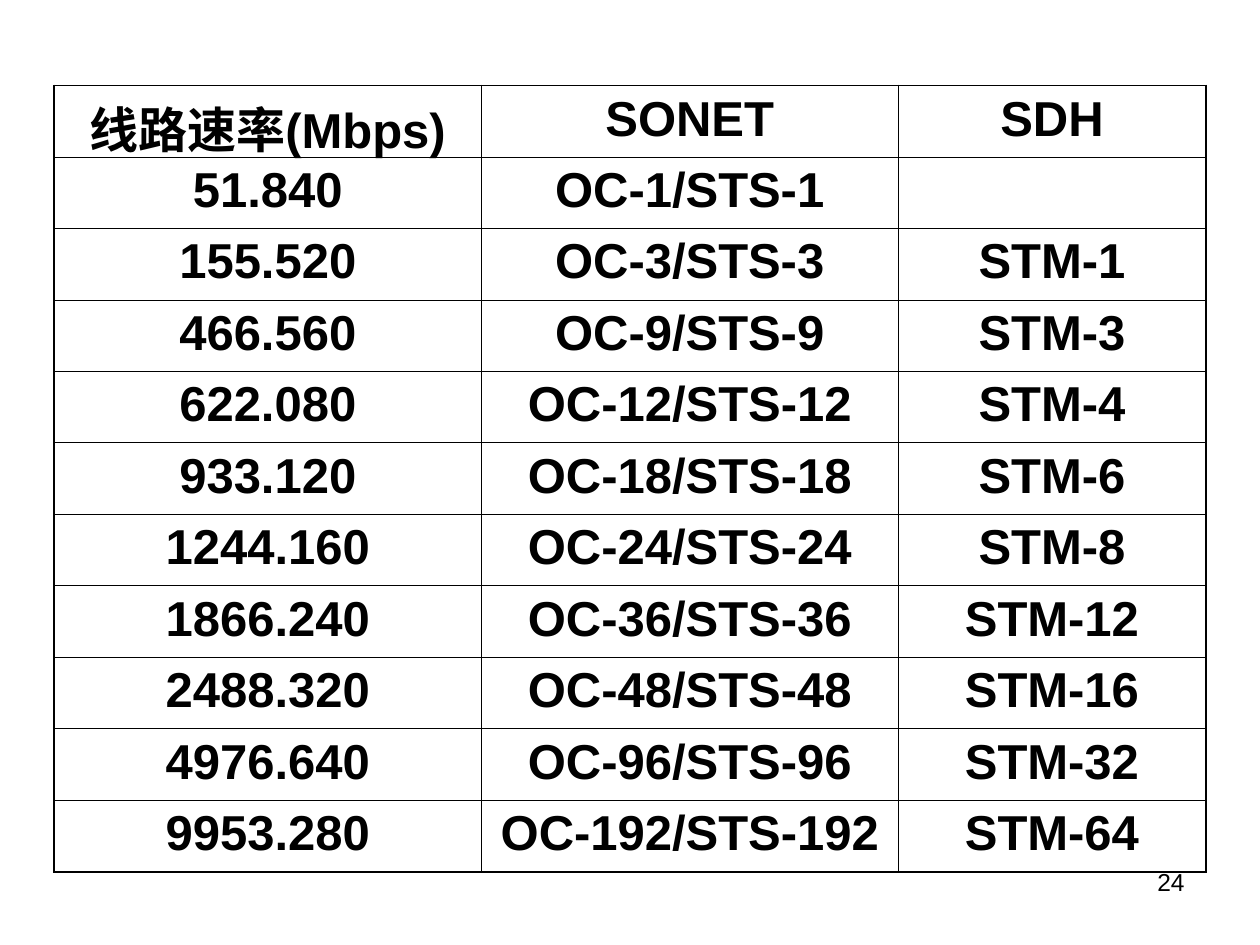
import pptx
import pptx.dml.color
import pptx.enum.text
import pptx.oxml.ns
import pptx.util
from lxml import etree

COLORS = {"ink": "000000", "paper": "FFFFFF"}
ALIGN = pptx.enum.text.PP_ALIGN

RATES = [
    ("线路速率(Mbps)", "SONET", "SDH"),
    ("51.840", "OC-1/STS-1", ""),
    ("155.520", "OC-3/STS-3", "STM-1"),
    ("466.560", "OC-9/STS-9", "STM-3"),
    ("622.080", "OC-12/STS-12", "STM-4"),
    ("933.120", "OC-18/STS-18", "STM-6"),
    ("1244.160", "OC-24/STS-24", "STM-8"),
    ("1866.240", "OC-36/STS-36", "STM-12"),
    ("2488.320", "OC-48/STS-48", "STM-16"),
    ("4976.640", "OC-96/STS-96", "STM-32"),
    ("9953.280", "OC-192/STS-192", "STM-64"),
]


class SlideBuilder:
    font_name = "Arial"
    outer_line = 1.08
    inner_line = 0.45

    def __init__(self, slide):
        self.slide = slide
        background = slide.background.fill
        background.solid()
        background.fore_color.rgb = self.color("paper")

    def color(self, name):
        return pptx.dml.color.RGBColor.from_string(COLORS[name])

    def add_text_run(self, paragraph, text, size, alignment, bold=False):
        paragraph.alignment = alignment
        run = paragraph.add_run()
        run.text = text
        run.font.name = self.font_name
        run.font.size = pptx.util.Pt(size)
        run.font.bold = bold
        run.font.color.rgb = self.color("ink")

    def border(self, cell, side, width):
        qn = pptx.oxml.ns.qn
        properties = cell._tc.get_or_add_tcPr()
        line = etree.SubElement(properties, qn(f"a:ln{side}"), w=str(pptx.util.Pt(width)))
        fill = etree.SubElement(line, qn("a:solidFill"))
        etree.SubElement(fill, qn("a:srgbClr"), val=COLORS["ink"])

    def table(self, rows, left, top, column_widths, row_height, size):
        points = pptx.util.Pt
        last_row, last_column = len(rows) - 1, len(column_widths) - 1
        table = self.slide.shapes.add_table(
            len(rows), len(column_widths), points(left), points(top),
            points(sum(column_widths)), points(row_height * len(rows))).table
        table.first_row = False
        table.horz_banding = False
        for column, width in zip(table.columns, column_widths):
            column.width = points(width)
        for row_index, values in enumerate(rows):
            table.rows[row_index].height = points(row_height)
            for column_index, text in enumerate(values):
                cell = table.cell(row_index, column_index)
                cell.margin_left = cell.margin_right = points(6.5)
                cell.margin_top = cell.margin_bottom = points(3.6)
                edges = {"L": column_index == 0, "R": column_index == last_column,
                         "T": row_index == 0, "B": row_index == last_row}
                for side, is_outer in edges.items():
                    self.border(cell, side, self.outer_line if is_outer else self.inner_line)
                cell.fill.background()
                if text:
                    self.add_text_run(
                        cell.text_frame.paragraphs[0], text, size, ALIGN.CENTER, True)

    def text(self, text, left, top, width, height, size, alignment):
        box = self.slide.shapes.add_textbox(*map(pptx.util.Pt, (left, top, width, height)))
        box.text_frame.word_wrap = True
        self.add_text_run(box.text_frame.paragraphs[0], text, size, alignment)


def main():
    presentation = pptx.Presentation()
    presentation.slide_width = pptx.util.Pt(720)
    presentation.slide_height = pptx.util.Pt(540)
    slide = presentation.slides.add_slide(presentation.slide_layouts[6])
    builder = SlideBuilder(slide)
    builder.text("24", 516, 492, 168, 37.5, 14, ALIGN.RIGHT)
    builder.table(RATES, 31, 48.8, (244, 238.3, 175.7), 40.2, 28)
    presentation.save("out.pptx")


if __name__ == "__main__":
    main()
